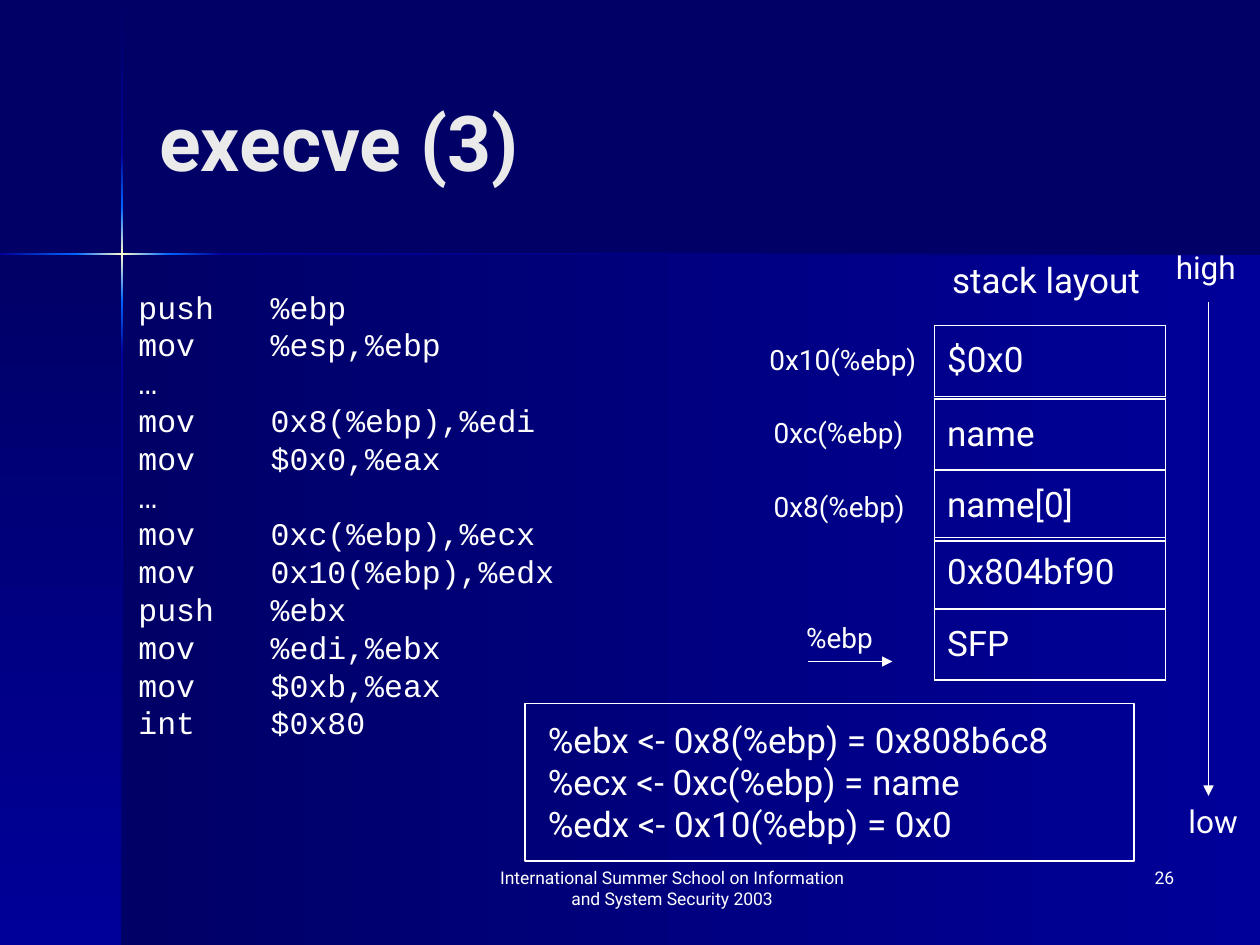
from copy import deepcopy
from itertools import pairwise

from lxml import etree
from pptx import Presentation
from pptx.dml.color import RGBColor
from pptx.enum.shapes import MSO_CONNECTOR, MSO_SHAPE
from pptx.enum.text import MSO_ANCHOR, PP_ALIGN
from pptx.oxml.ns import qn
from pptx.util import Inches, Pt

RECT, LINE = MSO_SHAPE.RECTANGLE, MSO_CONNECTOR.STRAIGHT
MID, TOP = MSO_ANCHOR.MIDDLE, MSO_ANCHOR.TOP
LEFT, MIDDLE, RIGHT = PP_ALIGN.LEFT, PP_ALIGN.CENTER, PP_ALIGN.RIGHT

# Theme: colours and type
SANS, MONO = "Roboto", "Courier New"
THEME = {
    "navy": "000066", "blue": "000099", "glow": "0066FF", "cream": "FFFFCC",
    "white": "FFFFFF", "pale": "EAEAEA",
    "title": {"size": Pt(44), "name": SANS, "bold": True},
    "code": {"size": Pt(18), "name": MONO},
    "body": {"size": Pt(20), "name": SANS},
    "ends": {"size": Pt(18), "name": SANS},
    "label": {"size": Pt(16), "name": SANS},
    "foot": {"size": Pt(10), "name": SANS},
    "rule": Pt(0.75), "edge": Pt(1.08), "lead": 1.2,
}

# Content
CODE = [
    ("push", "%ebp"), ("mov", "%esp,%ebp"), ("…", ""),
    ("mov", "0x8(%ebp),%edi"), ("mov", "$0x0,%eax"), ("…", ""),
    ("mov", "0xc(%ebp),%ecx"), ("mov", "0x10(%ebp),%edx"),
    ("push", "%ebx"), ("mov", "%edi,%ebx"), ("mov", "$0xb,%eax"),
    ("int", "$0x80"),
]
LIST = "\n".join(f"{op:<7}{arg}".rstrip() for op, arg in CODE)
REGS = "\n".join([
    "%ebx <- 0x8(%ebp) = 0x808b6c8",
    "%ecx <- 0xc(%ebp) = name",
    "%edx <- 0x10(%ebp) = 0x0",
])
FOOT = "International Summer School on Information and System Security 2003"

# The grid has 120 columns and 90 rows, twelve to the inch
COLS, ROWS = 120, 90
STACK = [("$0x0", 31), ("name", 38), ("name[0]", 44.8),
         ("0x804bf90", 51.2), ("SFP", 58)]
SLOT = (89, 22, 6.75)  # left, width, height
TEXTS = [  # text, style, box, extra format
    ("execve (3)", "title", (14, 4, 99, 18.8), {"color": "pale", "anchor": MID}),
    (LIST, "code", (12, 26.8, 64, 44.4), {}),
    ("high", "ends", (110.8, 23, 8.6, 4.8), {"wrap": False}),
    ("low", "ends", (112, 75.8, 7.3, 4.8), {"wrap": False}),
    ("stack layout", "body", (89.5, 24, 21, 5.3), {"wrap": False}),
    ("%ebp", "label", (75.6, 58.5, 9.4, 4.4), {"wrap": False}),
    ("0x8(%ebp)", "label", (72.5, 46, 15.4, 4.4), {"wrap": False}),
    ("0xc(%ebp)", "label", (72.5, 39, 15.1, 4.4), {"wrap": False}),
    ("0x10(%ebp)", "label", (72.1, 32, 16.9, 4.4), {"wrap": False}),
    (REGS, "body", (51, 67.8, 54, 13.2), {}),
    (FOOT, "foot", (45, 82, 38, 6), {"align": MIDDLE}),
    ("26", "foot", (88, 82, 25, 6), {"align": RIGHT}),
]
FRAME = (50, 67, 58, 15)
ARROWS = [(115.1, 28.8, 115.1, 75.8), (77, 63, 85, 63)]

# Backdrop: two panels and the beams of a cross
CROSS, THIN = (11.6, 24.2), 0.24
FADES = [("navy", "blue"), ("blue", "glow"), ("glow", "cream", "glow"),
         ("glow", "blue"), ("blue", "navy")]
DOWN = [0.1, 14.5, 19.8, 28.6, 33.8, ROWS]
OVER = [0, 7.25, 16, 21.2, COLS]
EAST, SOUTH = 0, 270

deck = Presentation()
deck.slide_width, deck.slide_height = Inches(10), Inches(7.5)
UNIT = deck.slide_width / COLS
slide = deck.slides.add_slide(deck.slide_layouts[6])
shapes = slide.shapes


def place(*nums):
    return [round(n * UNIT) for n in nums]


def tint(name):
    return RGBColor.from_string(THEME[name])


def fade(box, hues, angle):
    part = shapes.add_shape(RECT, *place(*box))
    part.shadow.inherit = False
    part.line.fill.background()
    part.fill.gradient()
    part.fill.gradient_angle = angle
    stops = part._element.spPr.find(".//" + qn("a:gsLst"))
    if len(hues) == 3:
        stops.insert(1, deepcopy(stops[0]))
    for i, (stop, hue) in enumerate(zip(part.fill.gradient_stops, hues)):
        stop.color.rgb = tint(hue)
        stop.position = i / (len(hues) - 1)


def write(para, text, style, color="white"):
    para.text = text
    if "\n" in text:
        para.line_spacing = Pt(THEME[style]["size"].pt * THEME["lead"])
    for run in para.runs:
        for key, val in THEME[style].items():
            setattr(run.font, key, val)
        run.font.color.rgb = tint(color)


def label(text, style, box, color="white", anchor=TOP, align=LEFT, wrap=True):
    frame = shapes.add_textbox(*place(*box)).text_frame
    frame.word_wrap, frame.vertical_anchor = wrap, anchor
    para = frame.paragraphs[0]
    para.alignment = align
    write(para, text, style, color)


def slot(text, top):
    left, width, height = SLOT
    table = shapes.add_table(1, 1, *place(left, top, width, height)).table
    table.first_row = table.horz_banding = False
    cell = table.cell(0, 0)
    cell.fill.background()
    cell.vertical_anchor = MID
    write(cell.text_frame.paragraphs[0], text, "body")
    props = cell._tc.get_or_add_tcPr()
    for i, side in enumerate("LRTB"):
        edge = etree.Element(qn("a:ln" + side), w=str(THEME["edge"]))
        fill = etree.SubElement(edge, qn("a:solidFill"))
        etree.SubElement(fill, qn("a:srgbClr"), val=THEME["white"])
        props.insert(i, edge)


def arrow(ends):
    link = shapes.add_connector(LINE, *place(*ends))
    link.line.color.rgb = tint("white")
    link.line.width = THEME["rule"]
    tip = link._element.spPr.find(qn("a:ln"))
    etree.SubElement(tip, qn("a:tailEnd"), type="triangle")
    etree.SubElement(link._element.spPr, qn("a:effectLst"))


# Backdrop
slide.background.fill.solid()
slide.background.fill.fore_color.rgb = tint("navy")
x, y = CROSS
fade((x, y, COLS - x, ROWS - y), ("navy", "blue"), EAST)
fade((0, y, x, ROWS - y), ("navy", "blue"), SOUTH)
for (a, b), hues in zip(pairwise(DOWN), FADES):
    fade((x - THIN / 2, a, THIN, b - a), hues, SOUTH)
for (a, b), hues in zip(pairwise(OVER), FADES[1:]):
    fade((a, y - THIN / 2, b - a, THIN), hues, EAST)

# Stack, words and arrows
for text, top in STACK:
    slot(text, top)
for text, style, box, extra in TEXTS:
    label(text, style, box, **extra)
for ends in ARROWS:
    arrow(ends)

# Frame round the register values
frame = shapes.add_shape(RECT, *place(*FRAME))
frame.shadow.inherit = False
frame.fill.background()
frame.line.color.rgb = tint("white")
frame.line.width = THEME["rule"]

deck.save("out.pptx")
